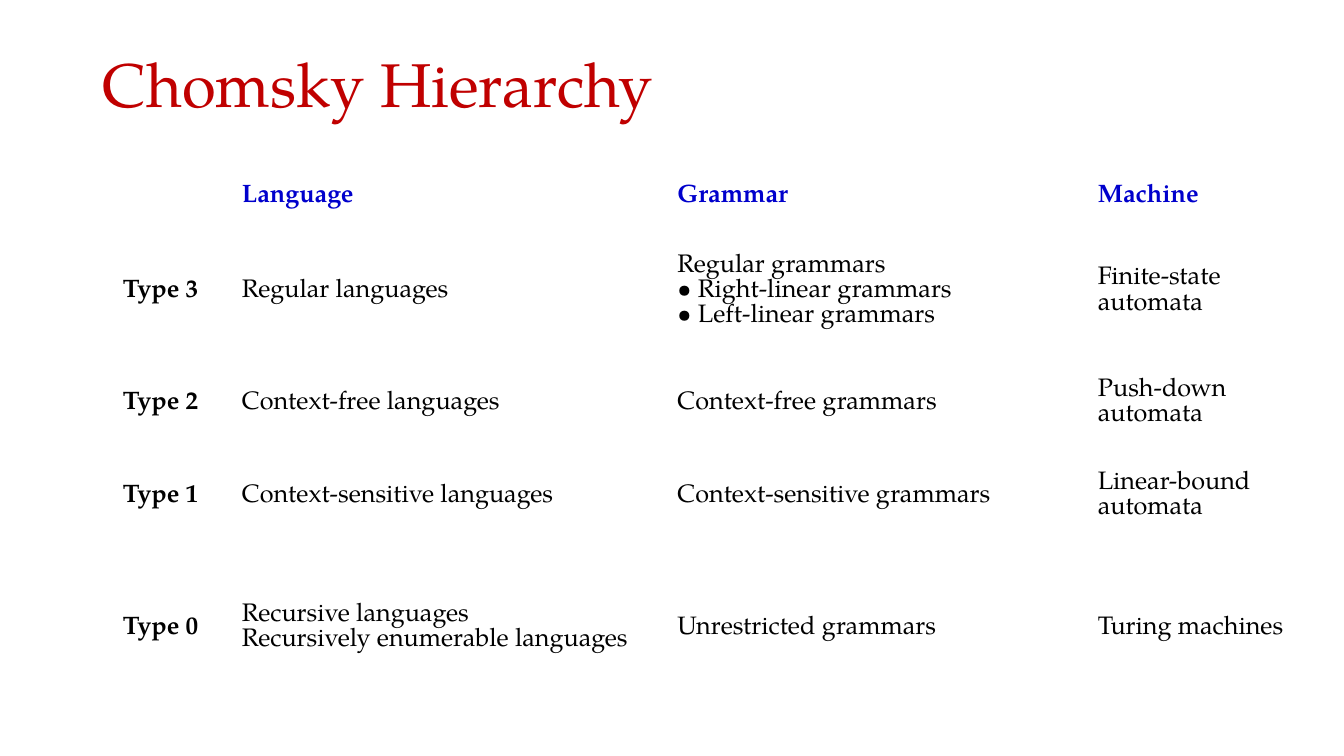
from pptx import Presentation
from pptx.dml.color import RGBColor
from pptx.enum.text import MSO_ANCHOR as Anchor, PP_ALIGN as Align
from pptx.util import Inches, Pt

WIDTH, HEIGHT = 13.33, 7.5
RED, BLUE, BLACK = "C00000", "0000CC", "000000"

COLUMN_WIDTHS = [1.18, 4.32, 4.17, 2]
ROW_HEIGHTS = [0.45, 1.43, 0.79, 1.05, 1.57]

# "\v" is a line break inside a paragraph
HIERARCHY = [
    ["", "Language", "Grammar", "Machine"],
    ["Type 3", "Regular languages",
     "Regular grammars\v• Right-linear grammars\v• Left-linear grammars",
     "Finite-state automata"],
    ["Type 2", "Context-free languages", "Context-free grammars",
     "Push-down automata"],
    ["Type 1", "Context-sensitive languages", "Context-sensitive grammars",
     "Linear-bound automata"],
    ["Type 0", "Recursive languages\vRecursively enumerable languages",
     "Unrestricted grammars", "Turing machines"],
]


def color(hex_code):
    return RGBColor.from_string(hex_code)


def write(frame, text, size=18, ink=BLACK, bold=False, font="TeX Gyre Pagella",
          spacing=None):
    frame.text = text
    frame.word_wrap = True
    paragraph = frame.paragraphs[0]
    paragraph.alignment = Align.LEFT
    paragraph.line_spacing = spacing
    for run in paragraph.runs:
        run.font.name = font
        run.font.size = Pt(size)
        run.font.bold = bold
        run.font.color.rgb = color(ink)


class Deck:
    """Holds the presentation, its style and the current slide."""

    def __init__(self):
        self.show = Presentation()
        self.show.slide_width = Inches(WIDTH)
        self.show.slide_height = Inches(HEIGHT)
        self.slide = self.show.slides.add_slide(self.show.slide_layouts[5])

    def title(self, text, left, top, width, height):
        heading = self.slide.shapes.title
        heading.left, heading.top = Inches(left), Inches(top)
        heading.width, heading.height = Inches(width), Inches(height)
        heading.text_frame.vertical_anchor = Anchor.MIDDLE
        write(heading.text_frame, text, size=44, ink=RED, spacing=0.9)

    def table(self, rows, left, top, widths, heights, inset=0.07):
        grid = self.slide.shapes.add_table(
            len(heights), len(widths), Inches(left), Inches(top),
            Inches(sum(widths)), Inches(sum(heights))).table
        grid.first_row = grid.horz_banding = False
        for column, width in zip(grid.columns, widths):
            column.width = Inches(width)
        for row, height in zip(grid.rows, heights):
            row.height = Inches(height)
        for r, entries in enumerate(rows):
            for c, entry in enumerate(entries):
                cell = grid.cell(r, c)
                cell.fill.background()
                cell.vertical_anchor = Anchor.MIDDLE
                cell.margin_left = cell.margin_right = Inches(inset)
                cell.margin_top = cell.margin_bottom = Inches(inset)
                # Header row and type column stand out
                write(cell.text_frame, entry, ink=BLACK if r else BLUE,
                      bold=r == 0 or c == 0)


def main():
    deck = Deck()
    # Heading
    deck.title("Chomsky Hierarchy", WIDTH * 0.069, 0.4, 11.5, 0.93)
    # Language classes with their grammars and machines
    deck.table(HIERARCHY, 1.15, 1.73, COLUMN_WIDTHS, ROW_HEIGHTS)
    deck.show.save("out.pptx")


if __name__ == "__main__":
    main()
